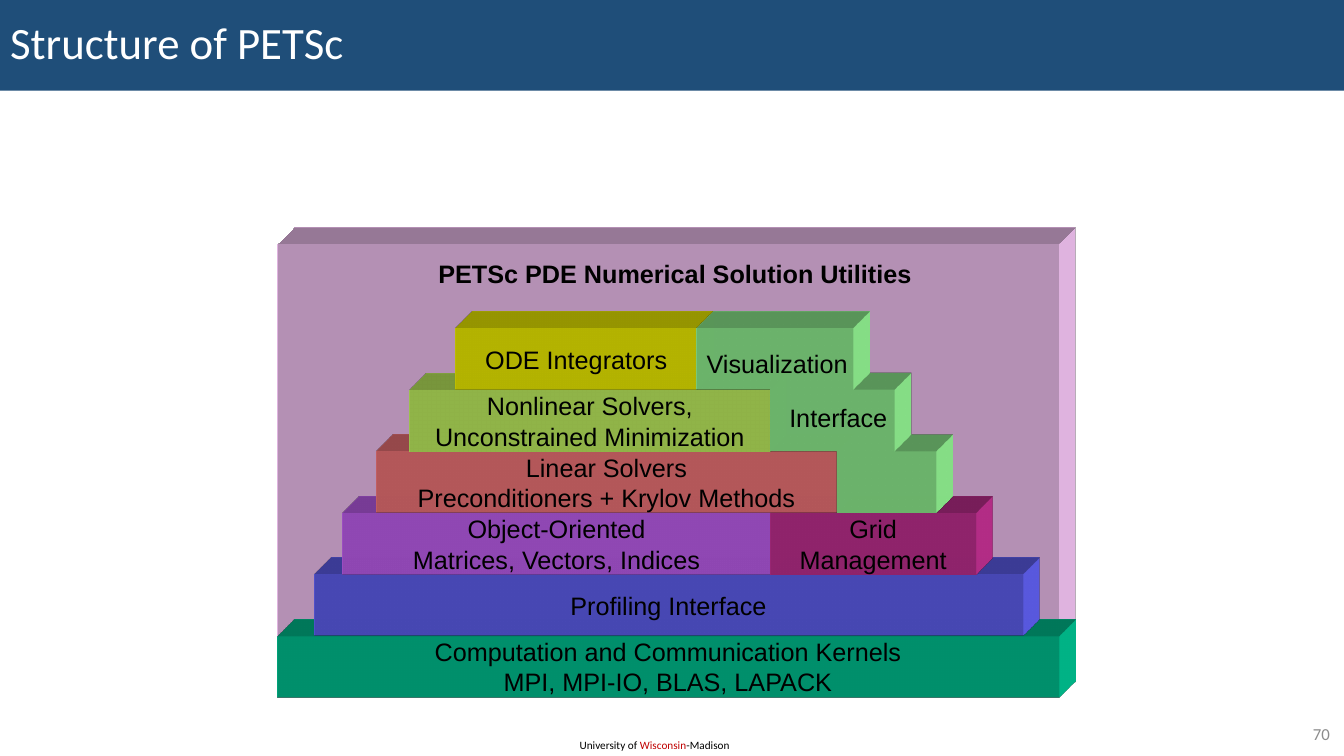
from lxml import etree
from pptx import Presentation
from pptx.dml.color import RGBColor
from pptx.enum.shapes import MSO_SHAPE as Shape
from pptx.enum.text import MSO_ANCHOR as Anchor, PP_ALIGN as Align
from pptx.oxml.ns import qn
from pptx.util import Inches, Pt

BLACK = RGBColor(0x00, 0x00, 0x00)
WHITE = RGBColor(0xFF, 0xFF, 0xFF)
NAVY = RGBColor(0x1F, 0x4E, 0x79)
GRAY = RGBColor(0x8C, 0x8C, 0x8C)
RED = RGBColor(0xC0, 0x00, 0x00)
PINK = RGBColor(0xFF, 0xCC, 0xFF)
TEAL = RGBColor(0x00, 0xCC, 0x99)
BLUE = RGBColor(0x66, 0x66, 0xFF)
PURPLE = RGBColor(0xCC, 0x66, 0xFF)
MAGENTA = RGBColor(0xCC, 0x33, 0x99)
CORAL = RGBColor(0xFF, 0x7C, 0x80)
LIME = RGBColor(0xCC, 0xFF, 0x66)
YELLOW = RGBColor(0xFF, 0xFF, 0x00)
GREEN = RGBColor(0x99, 0xFF, 0x99)

ROW = 0.61

presentation = Presentation()
presentation.slide_width = Inches(13.33)
presentation.slide_height = Inches(7.5)
slide = presentation.slides.add_slide(presentation.slide_layouts[5])


def write(shape, lines, size, font, align=Align.LEFT, anchor=Anchor.TOP, bold=False, wrap=False):
    """Fill a shape with lines, each a list of (text, colour) runs."""
    frame = shape.text_frame
    frame.word_wrap = wrap
    frame.vertical_anchor = anchor
    for index, runs in enumerate(lines):
        paragraph = frame.add_paragraph() if index else frame.paragraphs[0]
        paragraph.alignment = align
        for text, color in runs:
            run = paragraph.add_run()
            run.text = text
            run.font.size = Pt(size)
            run.font.name = font
            run.font.bold = bold
            run.font.color.rgb = color


def extrude(shape, color):
    """Colour a shape and give it depth towards the top right."""
    shape.shadow.inherit = False
    shape.fill.solid()
    shape.fill.fore_color.rgb = color
    shape.line.fill.background()
    properties = shape.element.spPr
    scene = etree.SubElement(properties, qn("a:scene3d"))
    etree.SubElement(scene, qn("a:camera"), prst="legacyObliqueTopRight")
    etree.SubElement(scene, qn("a:lightRig"), rig="legacyFlat3", dir="b")
    solid = etree.SubElement(properties, qn("a:sp3d"), extrusionH="430200",
                             prstMaterial="legacyMatte")
    for bevel in ("a:bevelT", "a:bevelB"):
        etree.SubElement(solid, qn(bevel), w="13500", h="13500", prst="angle")
    extrusion = etree.SubElement(solid, qn("a:extrusionClr"))
    etree.SubElement(extrusion, qn("a:srgbClr"), val=str(color))


# Title bar
title = slide.shapes.title
title.left, title.top = Inches(0), Inches(0)
title.width, title.height = Inches(13.33), Inches(0.9)
title.fill.solid()
title.fill.fore_color.rgb = NAVY
write(title, [[("Structure of PETSc", WHITE)]], 32, "Calibri",
      anchor=Anchor.MIDDLE, wrap=True)
title.text_frame.paragraphs[0].line_spacing = 0.9

# Footer and slide number
footer = slide.shapes.add_textbox(Inches(5.65), Inches(7.28), Inches(1.72), Inches(0.24))
write(footer, [[("University of ", BLACK), ("Wisconsin", RED), ("-Madison", BLACK)]],
      8, "Calibri", wrap=True)
number = slide.shapes.add_textbox(Inches(12.53), Inches(7.13), Inches(0.76), Inches(0.29))
write(number, [[("70", GRAY)]], 12, "Calibri", Align.RIGHT, Anchor.MIDDLE, wrap=True)

# Layers from back to front: left, right, top, bottom, colour, text
diagram = slide.shapes.add_group_shape()
row_tops = [6.31 - ROW * row for row in range(6)]
blocks = [
    (2.75, 10.5, 2.42, 6.92, PINK, ()),
    (2.75, 10.5, row_tops[0], 6.92, TEAL,
     ("Computation and Communication Kernels", "MPI, MPI-IO, BLAS, LAPACK")),
    (3.12, 10.14, row_tops[1], row_tops[0], BLUE, ("Profiling Interface",)),
    (3.4, 7.64, row_tops[2], row_tops[1], PURPLE,
     ("Object-Oriented", "Matrices, Vectors, Indices")),
    (7.64, 9.68, row_tops[2], row_tops[1], MAGENTA, ("Grid", "Management")),
    (3.73, 8.3, row_tops[3], row_tops[2], CORAL,
     ("Linear Solvers", "Preconditioners + Krylov Methods")),
    (4.06, 7.64, row_tops[4], row_tops[3], LIME,
     ("Nonlinear Solvers,", "Unconstrained Minimization")),
    (4.52, 6.91, row_tops[5], row_tops[4], YELLOW, ("ODE Integrators",)),
]
for left, right, top, bottom, color, lines in blocks:
    block = diagram.shapes.add_shape(Shape.RECTANGLE, Inches(left), Inches(top),
                                     Inches(right - left), Inches(bottom - top))
    extrude(block, color)
    if lines:
        write(block, [[(line, BLACK)] for line in lines], 18, "Arial",
              Align.CENTER, Anchor.MIDDLE)

# Stepped visualization block: left and right edge of each row, top down
steps = [(6.91, 8.46), (7.64, 8.87), (8.3, 9.28)]
left_side, right_side = [], []
for (left, right), top in zip(steps, row_tops[:2:-1]):
    for y in (top, top + ROW):
        left_side.append((Inches(left), Inches(y)))
        right_side.append((Inches(right), Inches(y)))
builder = diagram.shapes.build_freeform(*left_side[0])
builder.add_line_segments(left_side[1:] + right_side[::-1], close=True)
extrude(builder.convert_to_shape(), GREEN)

# Free labels
labels = [
    ("PETSc PDE Numerical Solution Utilities", 4.25, 2.51, 4.94, True),
    ("Visualization", 6.91, 3.41, 1.62, False),
    ("Interface", 7.73, 3.94, 1.17, False),
]
for text, left, top, width, bold in labels:
    label = diagram.shapes.add_textbox(Inches(left), Inches(top), Inches(width), Inches(0.4))
    write(label, [[(text, BLACK)]], 18, "Arial", bold=bold)

presentation.save("out.pptx")
